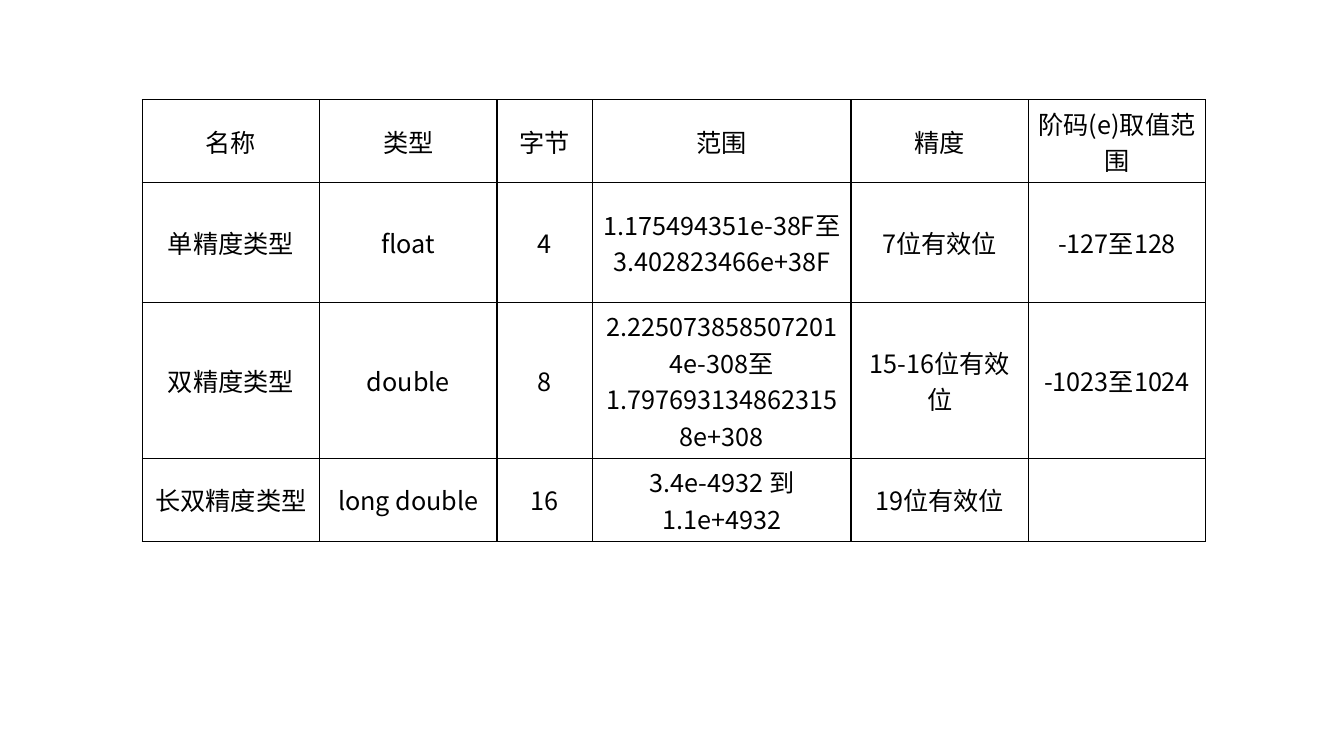
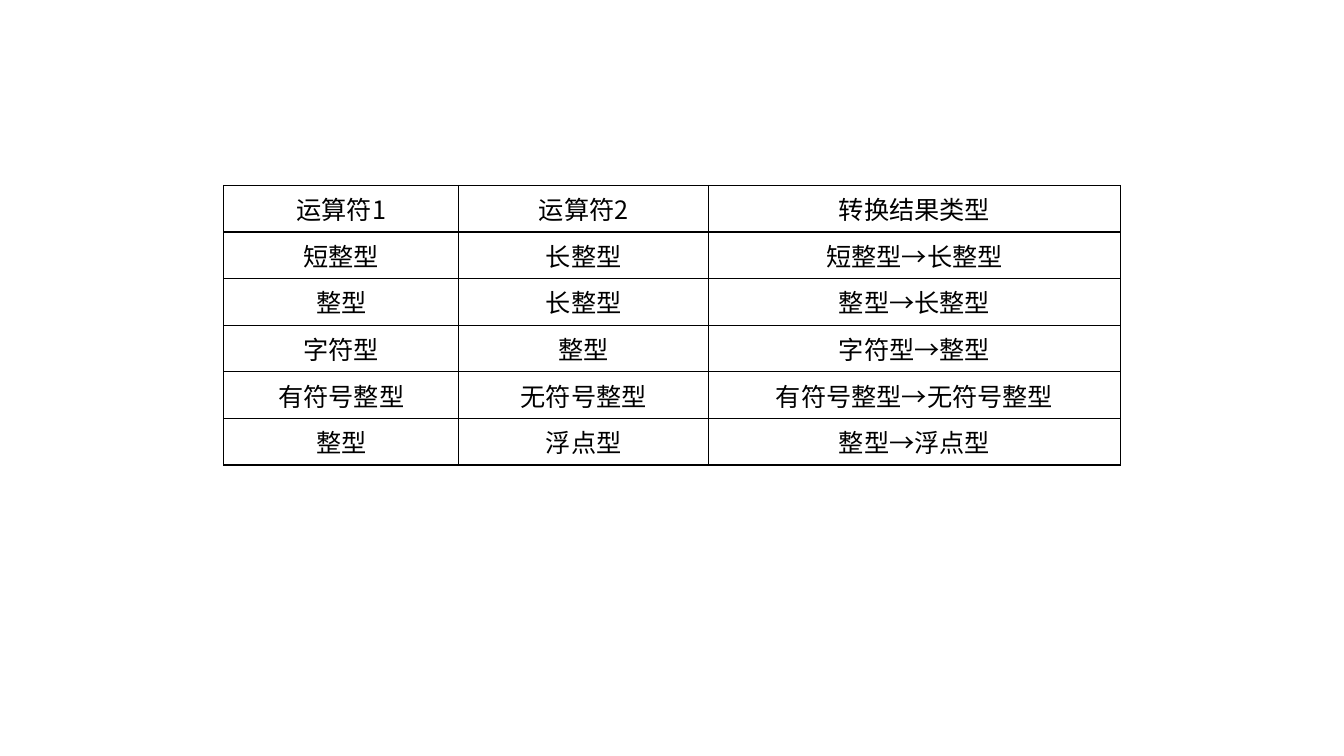
"""Build two slides of tables on C number types and type conversion."""
from lxml import etree
from pptx import Presentation
from pptx.dml.color import RGBColor
from pptx.enum.text import MSO_ANCHOR, PP_ALIGN
from pptx.oxml.ns import qn
from pptx.util import Inches, Pt

MIDDLE = MSO_ANCHOR.MIDDLE
CENTER = PP_ALIGN.CENTER
BLACK = RGBColor(0, 0, 0)
FACE = "Noto Sans CJK SC"
FORMAT = {"name": FACE, "size": Pt(18)}
ROW = Inches(0.41)

FLOATS = [
    ["名称", "类型", "字节", "范围", "精度", "阶码(e)取值范围"],
    ["单精度类型", "float", "4", "1.175494351e-38F至3.402823466e+38F",
     "7位有效位", "-127至128"],
    ["双精度类型", "double", "8",
     "2.2250738585072014e-308至1.7976931348623158e+308",
     "15-16位有效位", "-1023至1024"],
    ["长双精度类型", "long double", "16", "3.4e-4932 到 1.1e+4932",
     "19位有效位", ""],
]
PAIRS = [
    ("短整型", "长整型"),
    ("整型", "长整型"),
    ("字符型", "整型"),
    ("有符号整型", "无符号整型"),
    ("整型", "浮点型"),
]
CASTS = [["运算符1", "运算符2", "转换结果类型"]]
CASTS += [[old, new, f"{old}→{new}"] for old, new in PAIRS]

TABLES = [
    (1.41, 0.99, [1.76, 1.76, 0.95, 2.56, 1.76, 1.76], FLOATS),
    (2.22, 1.84, [2.33, 2.48, 4.08], CASTS),
]


def add_borders(cell):
    props = cell._tc.get_or_add_tcPr()
    for place, side in enumerate(("lnL", "lnR", "lnT", "lnB")):
        line = etree.Element(qn(f"a:{side}"), w=str(Pt(1)))
        fill = etree.SubElement(line, qn("a:solidFill"))
        etree.SubElement(fill, qn("a:srgbClr"), val=str(BLACK))
        props.insert(place, line)


def fill_cell(cell, text):
    cell.fill.background()
    cell.vertical_anchor = MIDDLE
    add_borders(cell)
    para = cell.text_frame.paragraphs[0]
    para.alignment = CENTER
    if not text:
        para.font.size = FORMAT["size"]
        return
    run = para.add_run()
    run.text = text
    for key, value in FORMAT.items():
        setattr(run.font, key, value)
    run.font.color.rgb = BLACK
    etree.SubElement(run._r.get_or_add_rPr(), qn("a:ea"), typeface=FACE)
    latin = run._r.rPr.find(qn("a:latin"))
    latin.addnext(run._r.rPr.find(qn("a:ea")))


deck = Presentation()
deck.slide_width = Inches(13.33)
deck.slide_height = Inches(7.5)
blank = deck.slide_layouts[6]

for left, top, widths, rows in TABLES:
    slide = deck.slides.add_slide(blank)
    frame = slide.shapes.add_table(
        len(rows), len(widths), Inches(left), Inches(top),
        Inches(sum(widths)), ROW * len(rows))
    table = frame.table
    table.first_row = False
    table.horz_banding = False
    for column, width in zip(table.columns, widths):
        column.width = Inches(width)
    for line, texts in zip(table.rows, rows):
        line.height = ROW
        for cell, text in zip(line.cells, texts):
            fill_cell(cell, text)

deck.save("out.pptx")
